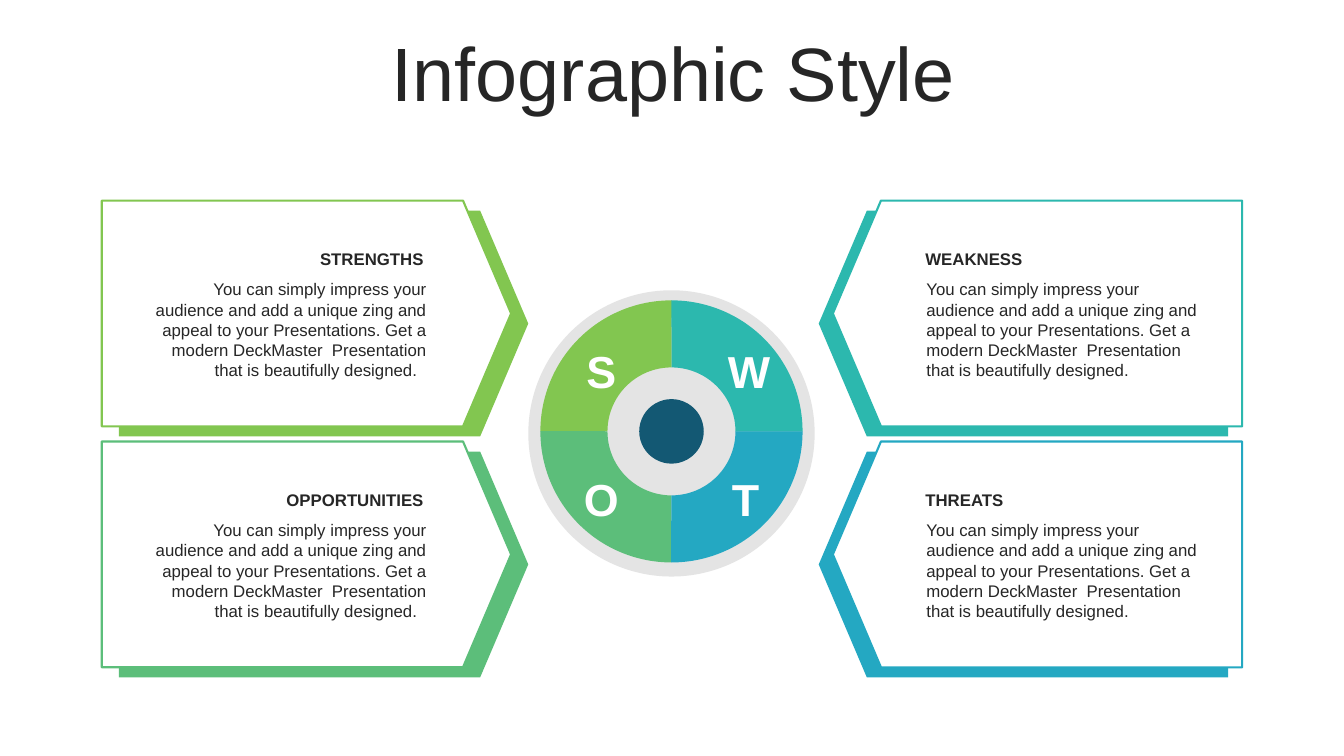
from dataclasses import dataclass
from lxml import etree
from pptx import Presentation
from pptx import util as u
from pptx.dml.color import RGBColor
from pptx.enum import shapes, text
from pptx.oxml import ns

Inches, Pt = u.Inches, u.Pt
Shape, Align = shapes.MSO_SHAPE, text.PP_ALIGN


@dataclass(frozen=True)
class Theme:
    """Colours, font and type sizes."""
    font: str = "Arial"
    ink: str = "262626"
    white: str = "FFFFFF"
    disc: str = "D9D9D9"
    hub: str = "135873"
    lime: str = "82C650"
    teal: str = "2CB8AE"
    green: str = "5CBE7A"
    blue: str = "24A8C2"
    title: int = 54
    letter: int = 32
    body: int = 12


T = Theme()
BODY = ("You can simply impress your audience and add a unique zing and appeal "
        "to your Presentations. Get a modern DeckMaster  Presentation "
        "that is beautifully designed.")
PARTS = (("STRENGTHS", T.lime, 0, 0), ("WEAKNESS", T.teal, 1, 0),
         ("OPPORTUNITIES", T.green, 0, 1), ("THREATS", T.blue, 1, 1))
TURNS = {(0, 0): 0, (1, 0): 90, (1, 1): 180, (0, 1): 270}


def block(slide, kind, box, fill, line=None):
    """Add a filled preset shape, with an outline if one is named."""
    shape = slide.shapes.add_shape(kind, *map(Inches, box))
    shape.shadow.inherit = False
    shape.fill.solid()
    shape.fill.fore_color.rgb = RGBColor.from_string(fill)
    if line:
        shape.line.color.rgb = RGBColor.from_string(line)
        shape.line.width = Pt(1.5)
    else:
        shape.line.fill.background()
    return shape


def style(par, size, color, align, bold=False):
    """Set the font and alignment of a paragraph."""
    par.alignment = align
    par.font.name, par.font.size, par.font.bold = T.font, Pt(size), bold
    par.font.color.rgb = RGBColor.from_string(color)


def label(slide, box, words, size, color, align, bold=False):
    """Add a wrapped text box of one paragraph."""
    frame = slide.shapes.add_textbox(*map(Inches, box)).text_frame
    frame.word_wrap = True
    frame.text = words
    style(frame.paragraphs[0], size, color, align, bold)


def head(slide, words):
    """Place and format the title."""
    title = slide.shapes.title
    title.left, title.top = Inches(0.35), Inches(0.37)
    title.width, title.height = Inches(12.66), Inches(0.79)
    frame = title.text_frame
    frame.text = words
    frame.auto_size = text.MSO_AUTO_SIZE.NONE
    frame.vertical_anchor = text.MSO_ANCHOR.MIDDLE
    par = frame.paragraphs[0]
    par.line_spacing, par.space_before = 0.9, Pt(10)
    style(par, T.title, T.ink, Align.CENTER)


def card(slide, name, color, col, row):
    """Add one arrow card with its backing and text."""
    top = 1.99 + 2.39 * row
    back, front = (8.12, 8.26) if col else (1.18, 1.01)
    for left, drop, fill, line in ((back, 0.1, color, None),
                                   (front, 0, T.white, color)):
        plate = block(slide, Shape.PENTAGON, (left, top + drop, 4.06, 2.24), fill, line)
        plate.adjustments[0] = 0.213
        plate.rotation = 180 * col
    left, wide, align = (9.08, 2.94, Align.LEFT) if col else (1.31, 2.99, Align.RIGHT)
    label(slide, (left, top + 0.43, wide, 0.3), name, T.body, T.ink, align, True)
    words = BODY if col else BODY + "  "
    label(slide, (left + 0.01, top + 0.73, wide + 0.02, 1.11), words, T.body, T.ink, align)


def wheel(slide):
    """Add the disc, its four lettered quarters and the hub."""
    disc = block(slide, Shape.OVAL, (5.24, 2.88, 2.84, 2.84), T.disc)
    tone = disc.fill._xPr.find(".//" + ns.qn("a:srgbClr"))
    etree.SubElement(tone, ns.qn("a:alpha")).set("val", "70000")
    for name, color, col, row in PARTS:
        arc = block(slide, Shape.BLOCK_ARC, (5.36, 2.98, 2.6, 2.6), color)
        for i, value in enumerate((108, 162.09, 0.256)):
            arc.adjustments[i] = value
        arc.rotation = TURNS[col, row]
    for name, color, col, row in PARTS:
        box = (5.69 + 1.43 * col, 3.36 + 1.27 * row, 0.55, 0.64)
        label(slide, box, name[0], T.letter, T.white, Align.CENTER, True)
    block(slide, Shape.OVAL, (6.34, 3.96, 0.64, 0.64), T.hub)


def main():
    """Build and save the slide."""
    deck = Presentation()
    deck.slide_width, deck.slide_height = Inches(13.33), Inches(7.5)
    slide = deck.slides.add_slide(deck.slide_layouts[5])
    head(slide, "Infographic Style")
    for part in PARTS:
        card(slide, *part)
    wheel(slide)
    deck.save("out.pptx")


if __name__ == "__main__":
    main()
